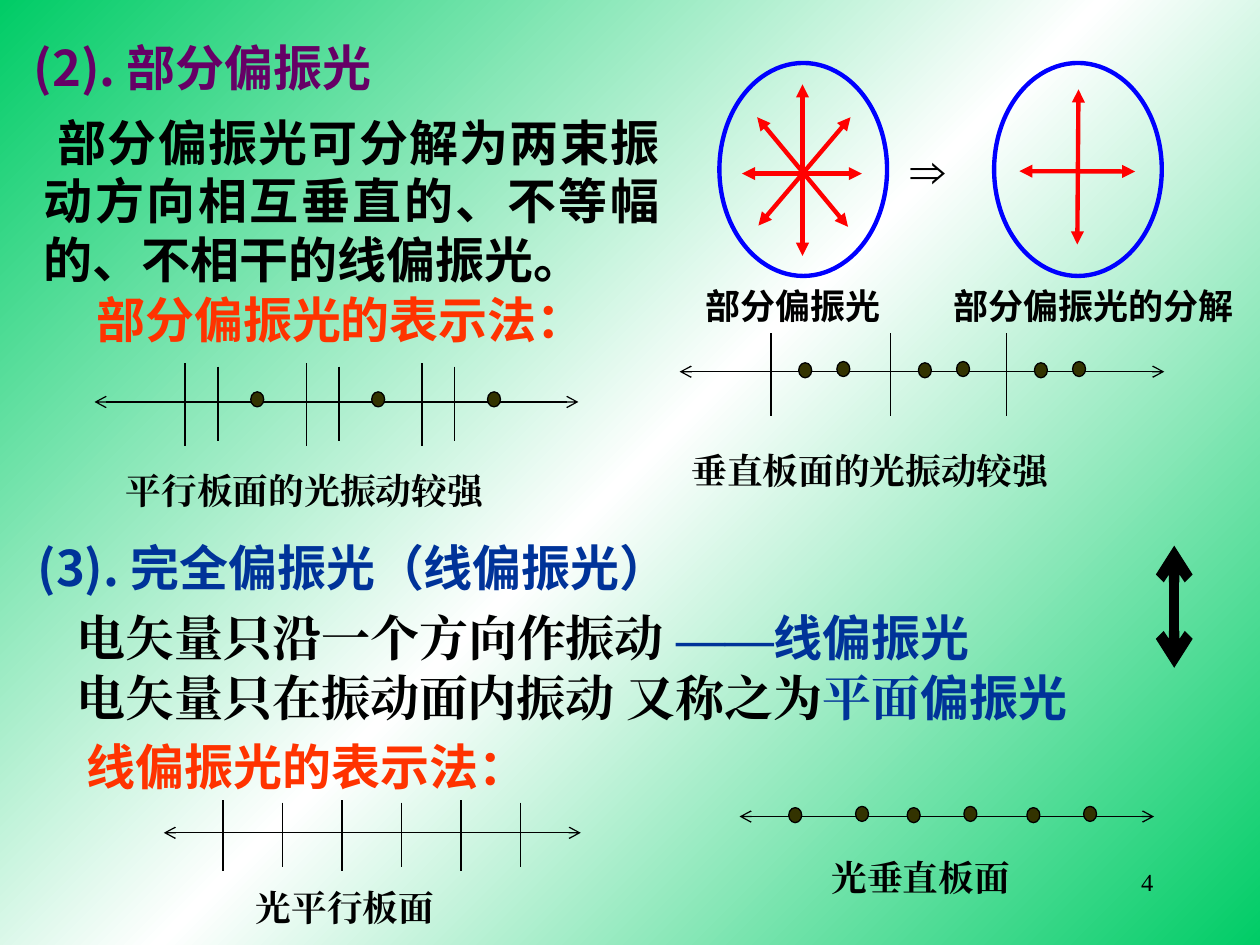
"""Builds the slide on partially and linearly polarized light."""
from copy import deepcopy

from lxml import etree
from pptx import Presentation
from pptx.dml.color import RGBColor
from pptx.enum.shapes import MSO_CONNECTOR, MSO_SHAPE
from pptx.enum.text import MSO_ANCHOR, MSO_AUTO_SIZE, PP_ALIGN
from pptx.oxml.ns import qn
from pptx.util import Pt

STRAIGHT, OVAL = MSO_CONNECTOR.STRAIGHT, MSO_SHAPE.OVAL
TOP, NO_FIT = MSO_ANCHOR.TOP, MSO_AUTO_SIZE.NONE
LEFT, RIGHT, JUSTIFY = PP_ALIGN.LEFT, PP_ALIGN.RIGHT, PP_ALIGN.JUSTIFY
BLACK = RGBColor(0, 0, 0)
WHITE = RGBColor(0xFF, 0xFF, 0xFF)
GREEN = RGBColor(0x00, 0xCC, 0x66)
PURPLE = RGBColor(0x66, 0x00, 0x66)
NAVY = RGBColor(0x00, 0x33, 0x99)
ORANGE = RGBColor(0xFF, 0x33, 0x00)
RED = RGBColor(0xFF, 0x00, 0x00)
BLUE = RGBColor(0x00, 0x00, 0xFF)
OLIVE = RGBColor(0x33, 0x33, 0x00)
SANS, SERIF, ARIAL = "Noto Sans CJK SC", "Times New Roman", "Arial"

TITLE = ((12.2, 18, 240, 41), JUSTIFY, 28, [("(2). 部分偏振光", SANS, PURPLE)])
TEXTS = [
    ((18, 60.5, 366, 108), JUSTIFY, 28,
     [(" 部分偏振光可分解为两束振动方向相互垂直的、不等幅的、不相干的线偏振光。", SANS, BLACK)]),
    ((48, 162, 312, 41), LEFT, 28, [("部分偏振光的表示法：", SANS, ORANGE)]),
    ((14.4, 303.8, 421, 41), JUSTIFY, 28, [("(3). 完全偏振光（线偏振光）", SANS, NAVY)]),
    ((36.7, 343.4, 567, 41), LEFT, 28,
     [("电矢量只沿一个方向作振动 ", SERIF, BLACK), ("——", SERIF, NAVY), ("线偏振光", SANS, NAVY)]),
    ((36.7, 378, 618, 41), LEFT, 28,
     [("电矢量只在振动面内振动 又称之为", SERIF, BLACK), ("平面", SERIF, NAVY), ("偏振光", SANS, NAVY)]),
    ((42.5, 417.6, 384, 41), JUSTIFY, 28, [("线偏振光的表示法：", SANS, ORANGE)]),
    ((396, 159, 129, 32), JUSTIFY, 20, [("部分偏振光", SANS, BLACK)]),
    ((537.8, 159, 182.2, 32), JUSTIFY, 20, [("部分偏振光的分解", SANS, BLACK)]),
    ((64.8, 264.2, 264, 33), JUSTIFY, 20.4, [("平行板面的光振动较强", SERIF, BLACK)]),
    ((388, 252.7, 274, 33), JUSTIFY, 20.4, [("垂直板面的光振动较强", SERIF, BLACK)]),
    ((139, 502.6, 148, 33), JUSTIFY, 20.4, [("光平行板面", SERIF, BLACK)]),
    ((468, 485.3, 153, 33), JUSTIFY, 20.4, [("光垂直板面", SERIF, BLACK)]),
]
ARROW_SIGN = ((519.8, 79.2, 33, 37), JUSTIFY, 28, [("⇒", ARIAL, BLACK)])
PAGE_NUMBER = ((516.2, 491.8, 150, 36), RIGHT, 14, [("4", SERIF, BLACK)])

OVALS = [(411.1, 36), (568.1, 36)]
VIBRATIONS = [
    (424, 99.2, 492.5, 99.2), (458.6, 48.2, 458.6, 146.2),
    (433.4, 128.9, 486, 67), (484.6, 129.6, 432.7, 67),
    (582.5, 97.8, 648.7, 98), (616.3, 51.1, 615.6, 139.7),
]
TALL, SHORT = (-22, 25.2), (-20.2, 22.3)
TALL_2, SHORT_2 = (-18.5, 21.6), (-17.3, 19.4)
LOW, HIGH = -5.8, -5.1
RAILS = [
    {"span": (54, 330.5), "y": 229.7,
     "ticks": [(x + dx, t) for x in (105.8, 175, 241.2) for dx, t in ((0, TALL), (18.7, SHORT))],
     "dots": [(x, LOW) for x in (143.3, 212.4, 278.6)]},
    {"span": (388.4, 665.3), "y": 212.4,
     "ticks": [(x, TALL) for x in (440.6, 509, 575.3)],
     "dots": [(x + dx, dy) for x in (440.6, 509, 575.3) for dx, dy in ((15.8, HIGH), (37.6, LOW))]},
    {"span": (93.6, 331.9), "y": 475.9,
     "ticks": [(127.4 + 34 * i, SHORT_2 if i % 2 else TALL_2) for i in range(6)],
     "dots": []},
    {"span": (422.6, 659.5), "y": 466.6, "ticks": [],
     "dots": [(x, LOW if i % 2 else HIGH)
              for i, x in enumerate((450.7, 488.9, 518.4, 550.8, 586.8, 619.2))]},
]


def fill_text(shape, box, align, size, runs, inset=(7.2, 3.6), bold=True):
    shape.left, shape.top, shape.width, shape.height = map(Pt, box)
    tf = shape.text_frame
    tf.word_wrap, tf.auto_size, tf.vertical_anchor = True, NO_FIT, TOP
    tf.margin_left = tf.margin_right = Pt(inset[0])
    tf.margin_top = tf.margin_bottom = Pt(inset[1])
    p = tf.paragraphs[0]
    p.alignment = align
    for text, font, color in runs:
        r = p.add_run()
        r.text = text
        r.font.size, r.font.bold, r.font.name = Pt(size), bold, font
        r.font.color.rgb = color
        etree.SubElement(r.font._element, qn("a:ea")).set("typeface", font)


def add_text(s, *args, **kwargs):
    fill_text(s.shapes.add_textbox(0, 0, 0, 0), *args, **kwargs)


def add_line(s, points, color=BLACK, width=0.75, ends=None):
    line = s.shapes.add_connector(STRAIGHT, *map(Pt, points))
    line.line.color.rgb, line.line.width = color, Pt(width)
    if ends:
        ln = line.line._get_or_add_ln()
        for tag in ("a:headEnd", "a:tailEnd"):
            etree.SubElement(ln, qn(tag)).set("type", ends)
    etree.SubElement(line._element.spPr, qn("a:effectLst"))


def add_oval(s, box, color, width, fill=None):
    sp = s.shapes.add_shape(OVAL, *map(Pt, box))
    sp.shadow.inherit = False
    sp.line.color.rgb, sp.line.width = color, Pt(width)
    if fill is None:
        sp.fill.background()
    else:
        sp.fill.solid()
        sp.fill.fore_color.rgb = fill


def paint_background(s):
    fill = s.background.fill
    fill.gradient()
    fill.gradient_angle = 315
    first, last = fill.gradient_stops
    first.position, first.color.rgb = 0, GREEN
    last.position, last.color.rgb = 0.5, WHITE
    stops = s._element.find(".//" + qn("a:gsLst"))
    end = deepcopy(stops[0])
    end.set("pos", "100000")
    stops.append(end)


def main():
    prs = Presentation()
    prs.slide_width, prs.slide_height = Pt(720), Pt(540)
    s = prs.slides.add_slide(prs.slide_layouts[5])
    paint_background(s)
    fill_text(s.shapes.title, *TITLE)
    for text in TEXTS:
        add_text(s, *text)
    add_text(s, *ARROW_SIGN, inset=(0.7, 0.7))
    add_text(s, *PAGE_NUMBER, bold=False)
    for points in VIBRATIONS:
        add_line(s, points, RED, 2.5, "triangle")
    for x, y in OVALS:
        add_oval(s, (x, y, 95.8, 121.7), BLUE, 2.5)
    for rail in RAILS:
        (x0, x1), y = rail["span"], rail["y"]
        add_line(s, (x0, y, x1, y), ends="arrow")
        for x, (above, below) in rail["ticks"]:
            add_line(s, (x, y + above, x, y + below))
        for x, dy in rail["dots"]:
            add_oval(s, (x, y + dy, 7.4, 8.6), BLACK, 0.75, OLIVE)
    add_line(s, (671, 311.8, 671, 381.6), width=6, ends="arrow")
    prs.save("out.pptx")


if __name__ == "__main__":
    main()
